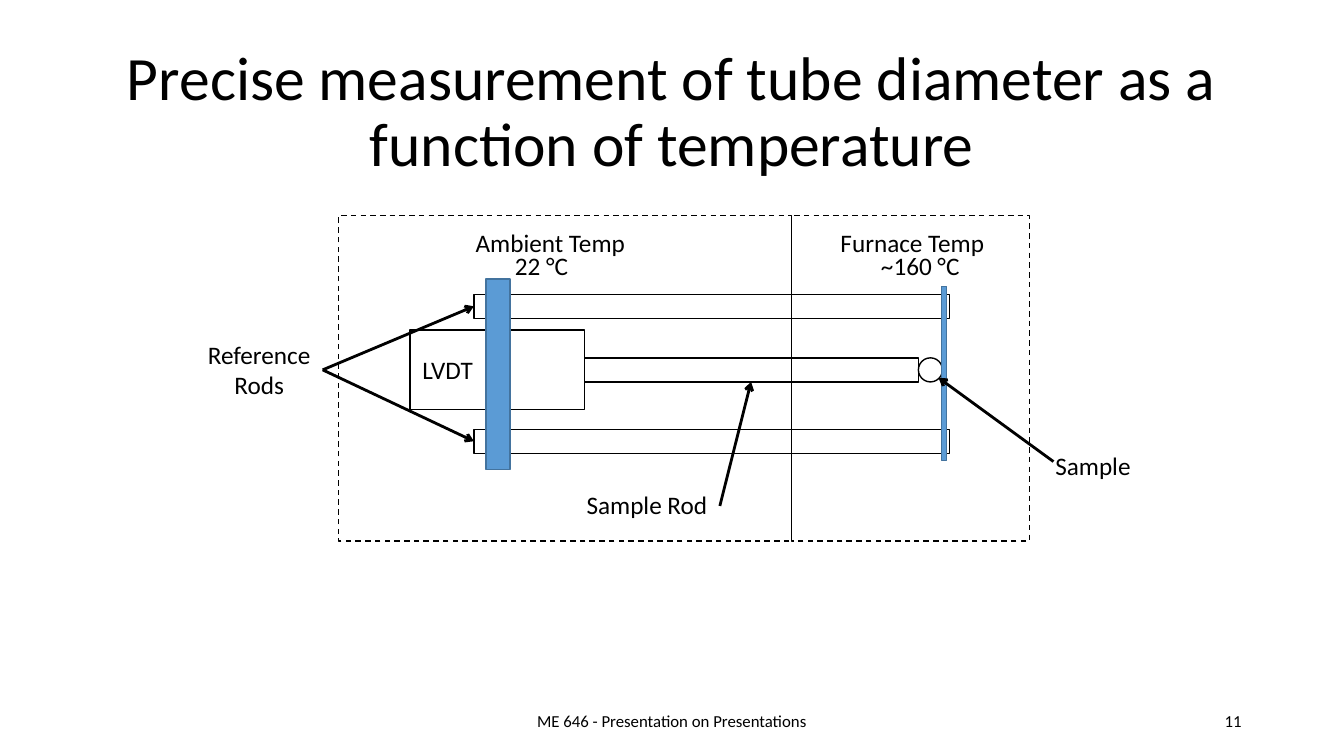
import pptx
import pptx.dml.color
import pptx.enum.dml
import pptx.enum.shapes
import pptx.enum.text
import pptx.oxml
import pptx.oxml.ns
import pptx.util

Pt = pptx.util.Pt
SHAPE = pptx.enum.shapes.MSO_SHAPE
ALIGN = pptx.enum.text.PP_ALIGN
ANCHOR = pptx.enum.text.MSO_ANCHOR
FONT = "Calibri"
COLORS = {"ink": "000000", "metal": "5B9BD5", "metal_edge": "43739E"}


def rgb(name):
    return pptx.dml.color.RGBColor.from_string(COLORS[name])


def style_text(p, size, align):
    p.alignment = align
    p.font.size = Pt(size)
    p.font.name = FONT
    p.font.color.rgb = rgb("ink")


def add_text(slide, text, x, y, w, h, size=18, align=ALIGN.LEFT, anchor=ANCHOR.TOP):
    tf = slide.shapes.add_textbox(Pt(x), Pt(y), Pt(w), Pt(h)).text_frame
    tf.word_wrap = True
    tf.vertical_anchor = anchor
    tf.text = text
    style_text(tf.paragraphs[0], size, align)


def add_part(slide, x, y, w, h, kind=SHAPE.RECTANGLE, fill=None, line="ink", dashed=False):
    sp = slide.shapes.add_shape(kind, Pt(x), Pt(y), Pt(w), Pt(h))
    sp.shadow.inherit = False
    if fill:
        sp.fill.solid()
        sp.fill.fore_color.rgb = rgb(fill)
    else:
        sp.fill.background()
    sp.line.color.rgb = rgb(line)
    sp.line.width = Pt(1)
    if dashed:
        sp.line.dash_style = pptx.enum.dml.MSO_LINE.DASH


def add_arrow(slide, x1, y1, x2, y2):
    line = slide.shapes.add_connector(
        pptx.enum.shapes.MSO_CONNECTOR.STRAIGHT, Pt(x1), Pt(y1), Pt(x2), Pt(y2))
    line.line.color.rgb = rgb("ink")
    line.line.width = Pt(2)
    ln = line.line._get_or_add_ln()
    tail = pptx.oxml.parse_xml(
        '<a:tailEnd %s type="arrow"/>' % pptx.oxml.ns.nsdecls("a"))
    ln.append(tail)
    effects = pptx.oxml.parse_xml("<a:effectLst %s/>" % pptx.oxml.ns.nsdecls("a"))
    line._element.spPr.append(effects)


def add_title(slide, text, x, y, w, h):
    title = slide.shapes.title
    title.left, title.top, title.width, title.height = Pt(x), Pt(y), Pt(w), Pt(h)
    tf = title.text_frame
    tf.text = text
    tf.word_wrap = True
    tf.auto_size = pptx.enum.text.MSO_AUTO_SIZE.NONE
    tf.vertical_anchor = ANCHOR.MIDDLE
    p = tf.paragraphs[0]
    style_text(p, 44, ALIGN.CENTER)
    p.line_spacing = 0.9


def add_apparatus(slide, x, y, w, h):
    """Draw the dilatometer inside its two temperature zones."""
    rod = 17.2                       # thickness of rods, sample and clamp
    axis = y + 110.2                 # centre line of the sample rod
    rod_x, rod_w = x + 96.5, 339.8
    rod_tops = (y + 56.2, y + 152.6)
    lvdt_x, lvdt_w, lvdt_h = x + 51, 124.6, 57
    sample_x = x + 414
    sample_rod_x = lvdt_x + lvdt_w
    furnace_x = x + 323.3

    for top in rod_tops:
        add_part(slide, rod_x, top, rod_w, rod)
    add_part(slide, lvdt_x, axis - lvdt_h / 2, lvdt_w, lvdt_h)
    add_part(slide, sample_x, axis - rod / 2, rod, rod, SHAPE.OVAL)
    add_part(slide, sample_rod_x, axis - rod / 2, sample_x - sample_rod_x, rod)
    add_part(slide, x + 105.1, y + 45.4, rod, 136, fill="metal", line="metal_edge")
    add_part(slide, x + 430.6, y + 50.5, 3.6, 124.6, fill="metal", line="metal_edge")

    # Temperature zones
    add_part(slide, furnace_x, y, x + w - furnace_x, h, dashed=True)
    add_part(slide, x, y, furnace_x - x, h, dashed=True)

    labels = [
        ("Furnace Temp", 351.3, 5, 124.6),
        ("~160 °C", 380.2, 21.6, 78.5),
        ("Ambient Temp", 90.7, 5, 124.6),
        ("22 °C", 118.8, 21.6, 67.7),
        ("LVDT", 52.6, 95.7, 54.7),
        ("Sample", 504.7, 164.1, 73.4),
        ("Sample Rod", 169.9, 192.2, 103),
    ]
    for text, dx, dy, width in labels:
        add_text(slide, text, x + dx, y + dy, width, 28.8)
    add_text(slide, "Reference Rods", x - 102.2, axis - 25.5, 90.7, 51, align=ALIGN.CENTER)

    for top in rod_tops:
        add_arrow(slide, x - 11.5, axis, rod_x, top + rod / 2)
    add_arrow(slide, x + 510.5, y + 175.7, x + 428.4, y + 115.9)
    add_arrow(slide, x + 272.2, y + 207.4, x + 294.5, axis + rod / 2)


def add_footer(slide, x, y, w, h):
    number_w, note_w = 216, 324
    add_text(slide, "11", x + w - number_w, y, number_w, h, 12, ALIGN.RIGHT, ANCHOR.MIDDLE)
    add_text(slide, "ME 646 - Presentation on Presentations", x + (w - note_w) / 2, y,
             note_w, h, 12, ALIGN.CENTER, ANCHOR.MIDDLE)


def main():
    prs = pptx.Presentation()
    prs.slide_width, prs.slide_height = Pt(960), Pt(540)
    slide = prs.slides.add_slide(prs.slide_layouts[5])
    add_title(slide, "Precise measurement of tube diameter as a function of temperature",
              66, 28.8, 828, 104.4)
    add_apparatus(slide, 242, 154, 493.2, 232.6)
    add_footer(slide, 66, 500.4, 828, 28.8)
    prs.save("out.pptx")


if __name__ == "__main__":
    main()
